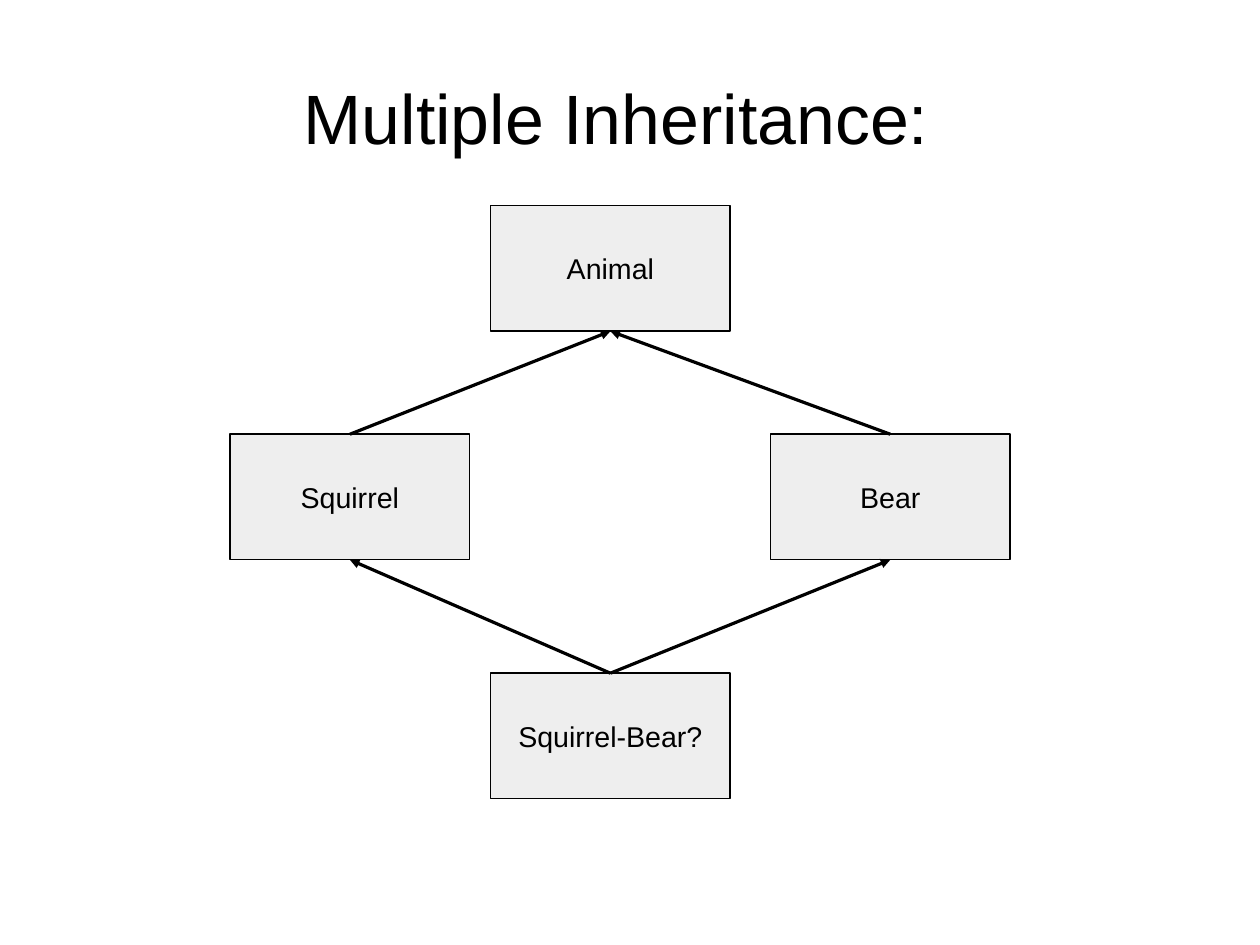
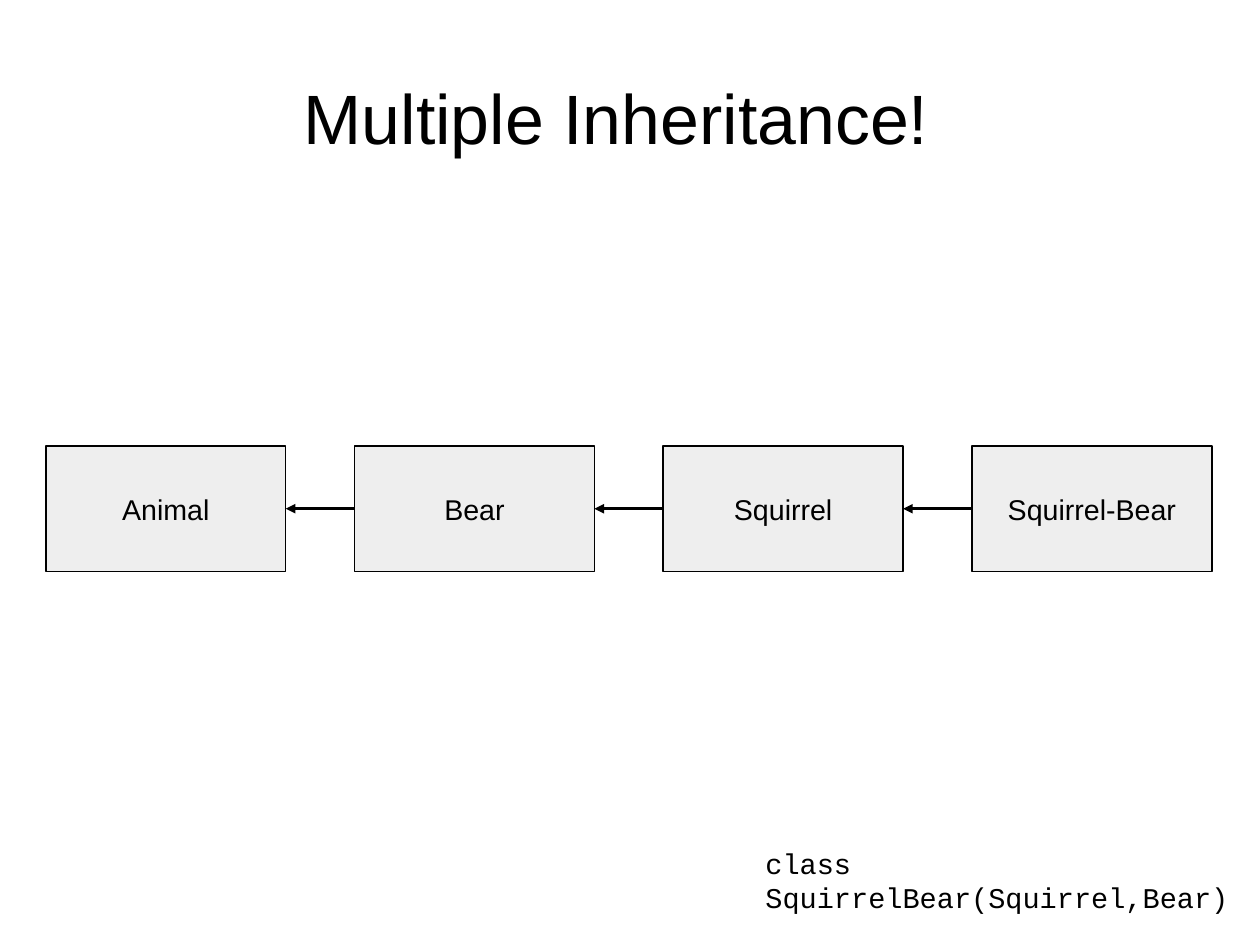
from lxml.etree import SubElement
from pptx import Presentation
from pptx.dml.color import RGBColor
from pptx.enum.shapes import MSO_CONNECTOR, MSO_SHAPE
from pptx.enum.text import MSO_ANCHOR, PP_ALIGN
from pptx.oxml.ns import qn
from pptx.util import Cm, Pt

BLACK = RGBColor(0x00, 0x00, 0x00)
PALE_GREY = RGBColor(0xEE, 0xEE, 0xEE)
SANS, MONO = "Arial", "Courier New"

BOX_WIDTH, BOX_HEIGHT = 5.33, 2.79
TOP, LEFT, BOTTOM, RIGHT = range(4)  # connection sites of a rectangle


def write(frame, text, size, font=SANS, align=PP_ALIGN.CENTER):
    para = frame.paragraphs[0]
    para.alignment = align
    span = para.add_run()
    span.text = text
    span.font.name = font
    span.font.size = Pt(size)
    span.font.color.rgb = BLACK


def set_insets(frame, across, down):
    frame.margin_left = frame.margin_right = Cm(across)
    frame.margin_top = frame.margin_bottom = Cm(down)


def add_text(page, left, top, width, height):
    """Add a wrapping text box and return its text frame."""
    frame = page.shapes.add_textbox(
        Cm(left), Cm(top), Cm(width), Cm(height)).text_frame
    frame.word_wrap = True
    return frame


def add_page(deck, title):
    page = deck.slides.add_slide(deck.slide_layouts[6])
    frame = add_text(page, 0.85, 0.84, 25.7, 3.5)
    frame.vertical_anchor = MSO_ANCHOR.MIDDLE
    set_insets(frame, 0, 0)
    write(frame, title, 44)
    return page


def add_class_box(page, name, left, top):
    box = page.shapes.add_shape(MSO_SHAPE.RECTANGLE, Cm(left), Cm(top),
                                Cm(BOX_WIDTH), Cm(BOX_HEIGHT))
    box.shadow.inherit = False
    box.fill.solid()
    box.fill.fore_color.rgb = PALE_GREY
    box.line.color.rgb = BLACK
    box.line.width = Pt(1)
    frame = box.text_frame
    frame.word_wrap = False
    frame.vertical_anchor = MSO_ANCHOR.MIDDLE
    set_insets(frame, 0.28, 0.15)
    write(frame, name, 18)
    return box


def add_arrow(page, child, child_site, parent, parent_site):
    arrow = page.shapes.add_connector(MSO_CONNECTOR.STRAIGHT, 0, 0, 0, 0)
    arrow.begin_connect(child, child_site)
    arrow.end_connect(parent, parent_site)
    arrow.line.color.rgb = BLACK
    arrow.line.width = Pt(0)
    SubElement(arrow.line._get_or_add_ln(), qn("a:tailEnd"), type="triangle")
    SubElement(arrow._element.spPr, qn("a:effectLst"))


def build_diamond(deck):
    page = add_page(deck, "Multiple Inheritance:")
    centre, middle = 10.9, 9.65
    animal = add_class_box(page, "Animal", centre, 4.57)
    bear = add_class_box(page, "Bear", 17.12, middle)
    squirrel = add_class_box(page, "Squirrel", 5.11, middle)
    hybrid = add_class_box(page, "Squirrel-Bear?", centre, 14.96)
    for parent in (bear, squirrel):
        add_arrow(page, hybrid, TOP, parent, BOTTOM)
        add_arrow(page, parent, TOP, animal, BOTTOM)


def build_chain(deck):
    page = add_page(deck, "Multiple Inheritance!")
    names = ("Animal", "Bear", "Squirrel", "Squirrel-Bear")
    first_left, pitch = 1.02, 6.86
    boxes = [add_class_box(page, name, first_left + i * pitch, 9.91)
             for i, name in enumerate(names)]
    for parent, child in zip(boxes, boxes[1:]):
        add_arrow(page, child, LEFT, parent, RIGHT)
    code = add_text(page, 16.76, 18.67, 12.19, 1.73)
    write(code, "class SquirrelBear(Squirrel,Bear)", 18, MONO, PP_ALIGN.LEFT)


def main():
    deck = Presentation()
    deck.slide_width, deck.slide_height = Cm(28), Cm(21)
    build_diamond(deck)
    build_chain(deck)
    deck.save("out.pptx")


if __name__ == "__main__":
    main()
